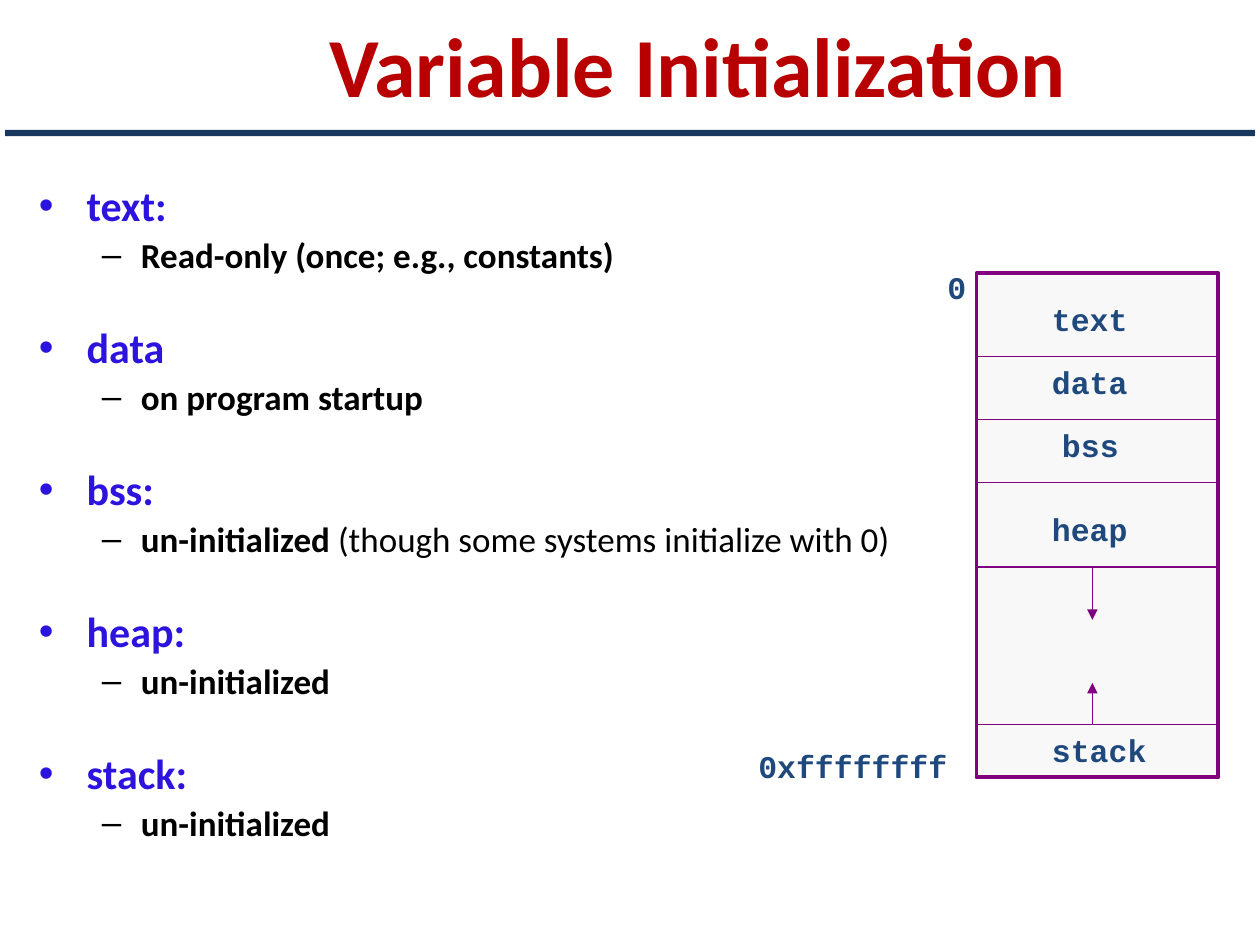
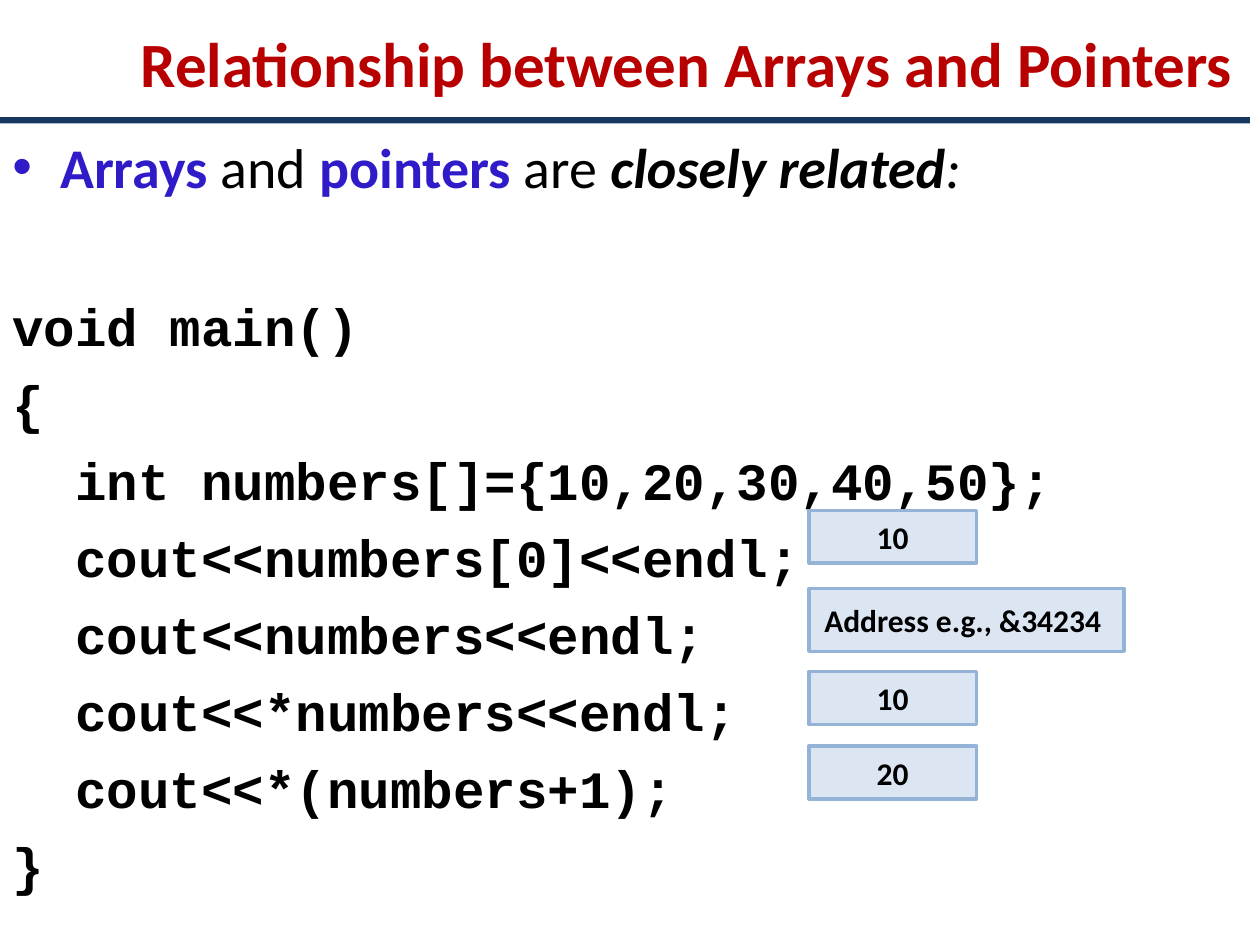
from lxml import etree
from pptx import Presentation
from pptx.dml.color import RGBColor
from pptx.enum import shapes, text
from pptx.oxml import ns
from pptx.util import Inches, Pt

SANS, MONO = "Calibri", "Courier New"
RED, NAVY, BLACK = "B80000", "17375E", "000000"
HEADING_BLUE, ARRAY_BLUE, LABEL_BLUE = "2C14DE", "2F1BC7", "1F497D"
PURPLE, PALE_GREY = "800080", "F8F8F8"
PALE_BLUE, EDGE_BLUE = "DCE6F2", "95B3D7"


def color(hex_value):
    return RGBColor.from_string(hex_value)


def add_span(para, words, size, hue=BLACK, font=SANS, bold=True, italic=False):
    span = para.add_run()
    span.text = words
    span.font.name, span.font.size = font, Pt(size)
    span.font.bold, span.font.italic = bold, italic
    span.font.color.rgb = color(hue)


def add_text(page, left, top, width, height, wrap=True):
    box = page.shapes.add_textbox(Inches(left), Inches(top), Inches(width), Inches(height))
    box.text_frame.word_wrap = wrap
    return box.text_frame


def add_para(frame, before=0.0, margin=0.0, hanging=0.0, bullet=None, spacing=None):
    """Start a paragraph, using the frame's empty first one when possible."""
    first = frame.paragraphs[0]
    para = frame.add_paragraph() if first.runs else first
    para.space_before = Pt(before)
    if spacing:
        para.line_spacing = spacing
    properties = para._p.get_or_add_pPr()
    properties.set("marL", str(Inches(margin)))
    properties.set("indent", str(-Inches(hanging)))
    if bullet:
        font = etree.SubElement(properties, ns.qn("a:buFont"))
        font.set("typeface", "Arial")
        etree.SubElement(properties, ns.qn("a:buChar")).set("char", bullet)
    return para


def add_box(page, left, top, width, height, fill, edge=None, edge_width=0):
    box = page.shapes.add_shape(shapes.MSO_SHAPE.RECTANGLE, Inches(left), Inches(top),
                                Inches(width), Inches(height))
    box.shadow.inherit = False
    box.fill.solid()
    box.fill.fore_color.rgb = color(fill)
    if edge:
        box.line.color.rgb = color(edge)
        box.line.width = Pt(edge_width)
    else:
        box.line.fill.background()
    return box


def add_line(page, x1, y1, x2, y2, arrow=False):
    line = page.shapes.add_connector(shapes.MSO_CONNECTOR.STRAIGHT, Inches(x1), Inches(y1),
                                     Inches(x2), Inches(y2))
    line.line.color.rgb = color(PURPLE)
    line.line.width = Pt(0.75)
    if arrow:
        outline = line.line._get_or_add_ln()
        etree.SubElement(outline, ns.qn("a:tailEnd")).set("type", "triangle")
    etree.SubElement(line._element.spPr, ns.qn("a:effectLst"))


def add_header(page, title, size, title_box, bar_left, bar_top):
    frame = add_text(page, *title_box)
    frame.vertical_anchor = text.MSO_ANCHOR.MIDDLE
    para = frame.paragraphs[0]
    para.alignment = text.PP_ALIGN.CENTER
    add_span(para, title, size, RED)
    add_box(page, bar_left, bar_top, 9.92, 0.05, NAVY)


def add_segment_list(page, left, top, width, height):
    """Each memory segment with the way it is initialized."""
    segments = [
        ("text:", "Read-only (once; e.g., constants)", ""),
        ("data", "on program startup", ""),
        ("bss:", "un-initialized", " (though some systems initialize with 0)"),
        ("heap:", "un-initialized", ""),
        ("stack:", "un-initialized", ""),
    ]
    frame = add_text(page, left, top, width, height)
    for index, (name, state, remark) in enumerate(segments):
        heading = add_para(frame, 29.3 if index else 0, 0.38, 0.38, "•", 0.9)
        add_span(heading, name, 24, HEADING_BLUE)
        detail = add_para(frame, 4.3, 0.81, 0.31, "–", 0.9)
        add_span(detail, state, 20)
        if remark:
            add_span(detail, remark, 20, bold=False)


def add_label(page, words, left, top, width, wrap=True):
    frame = add_text(page, left, top, width, 0.43, wrap)
    add_span(frame.paragraphs[0], words, 18, LABEL_BLUE, MONO)


def add_memory_map(page, left, top, width, height):
    """Address space from 0 at the top to 0xffffffff at the bottom."""
    add_box(page, left, top, width, height, PALE_GREY, PURPLE, 2.25)
    heap_end, stack_start = top + 2.33, top + 3.58

    # Borders between segments
    for border in (top + 0.66, top + 1.16, top + 1.66, heap_end, stack_start):
        add_line(page, left, border, left + width, border)

    # Segment names: name, indent, offset from the top
    for name, indent, offset in (("text", 0.5, 0.16), ("data", 0.5, 0.66), ("bss", 0.58, 1.16),
                                 ("heap", 0.5, 1.83), ("stack", 0.5, 3.58)):
        add_label(page, name, left + indent, top + offset, 1.25)

    # Growth of heap and stack
    middle = left + 0.92
    add_line(page, middle, heap_end, middle, heap_end + 0.42, arrow=True)
    add_line(page, middle, stack_start, middle, stack_start - 0.33, arrow=True)

    # Addresses
    add_label(page, "0", left - 0.33, top - 0.09, 0.42)
    add_label(page, "0xffffffff", left - 1.83, top + 3.71, 1.87, wrap=False)


def add_code(page, left, top, width, height):
    """Statement about arrays and pointers, then the program."""
    frame = add_text(page, left, top, width, height)
    statement = add_para(frame, 0, 0.38, 0.38, "•")
    add_span(statement, "Arrays", 32, ARRAY_BLUE)
    add_span(statement, " and ", 32, bold=False)
    add_span(statement, "pointers", 32, ARRAY_BLUE)
    add_span(statement, " are ", 32, bold=False)
    add_span(statement, "closely related", 32, italic=True)
    add_span(statement, ":", 32, bold=False, italic=True)

    program = [
        (0, "void main()"),
        (0, "{"),
        (1, "int numbers[]={10,20,30,40,50};"),
        (1, "cout<<numbers[0]<<endl;"),
        (1, "cout<<numbers<<endl;"),
        (1, "cout<<*numbers<<endl;"),
        (1, "cout<<*(numbers+1);"),
        (0, "}"),
    ]
    for index, (level, code) in enumerate(program):
        para = add_para(frame, 8 if index else 54, margin=0.5 * level)
        add_span(para, code, 30, font=MONO)


def add_outputs(page, left, top):
    """What each print statement shows."""
    for words, offset, width, height in (("10", 0, 1.33, 0.42),
                                         ("Address e.g., &34234 ", 0.62, 2.5, 0.5),
                                         ("10", 1.28, 1.33, 0.42),
                                         ("20", 1.87, 1.33, 0.42)):
        box = add_box(page, left, top + offset, width, height, PALE_BLUE, EDGE_BLUE, 2)
        box.text_frame.vertical_anchor = text.MSO_ANCHOR.MIDDLE
        para = box.text_frame.paragraphs[0]
        para.alignment = text.PP_ALIGN.CENTER
        add_span(para, words, 18)


def build_initialization(page):
    add_header(page, "Variable Initialization", 48, (1.08, 0.02, 8.92, 0.98), 0.04, 1.03)
    add_segment_list(page, 0.21, 1.42, 7.29, 5.78)
    add_memory_map(page, 7.75, 2.17, 1.92, 4)


def build_arrays(page):
    add_header(page, "Relationship between Arrays and Pointers", 36,
               (0.95, 0.06, 9, 0.87), 0, 0.93)
    add_code(page, 0, 1, 10, 6.5)
    add_outputs(page, 6.42, 4.05)


def main():
    deck = Presentation()
    deck.slide_width, deck.slide_height = Inches(10), Inches(7.5)
    blank = deck.slide_layouts[6]
    for build in (build_initialization, build_arrays):
        build(deck.slides.add_slide(blank))
    deck.save("out.pptx")


if __name__ == "__main__":
    main()
